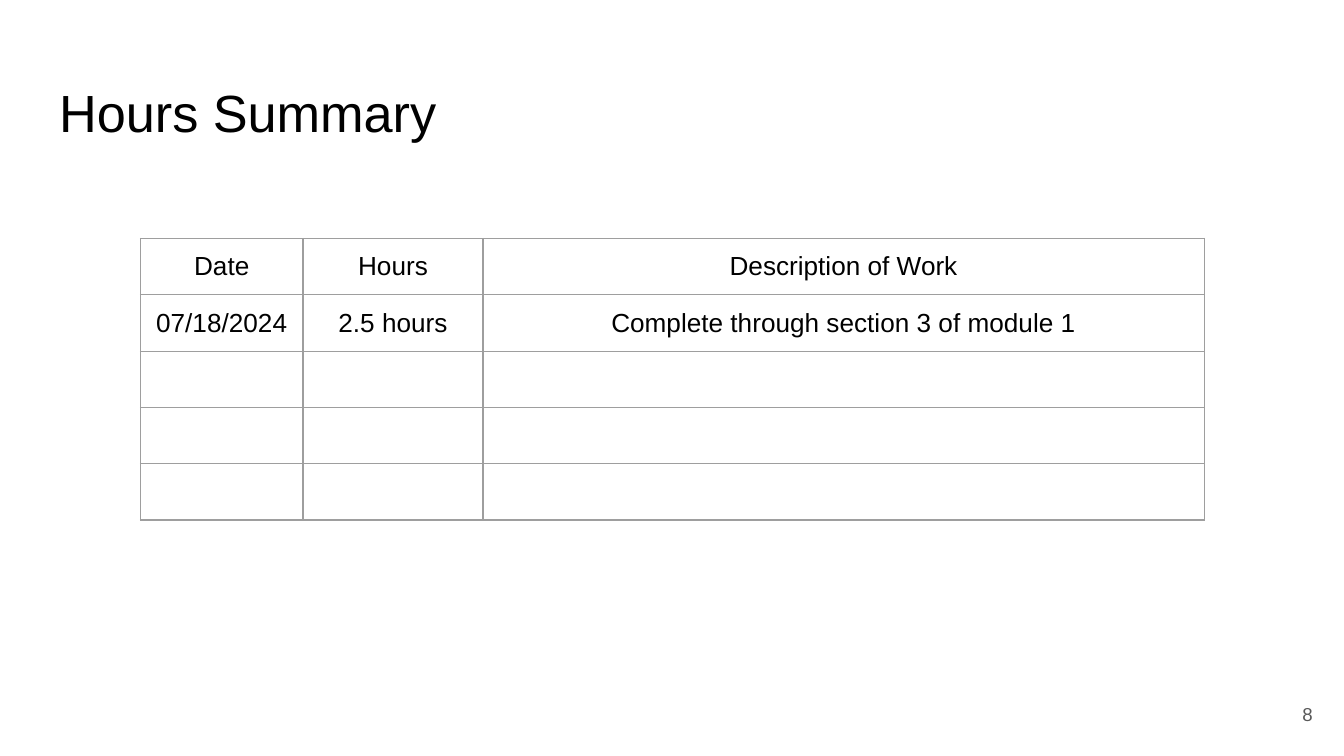
"""Build the Hours Summary slide with its work log table."""
import pptx
import pptx.dml.color
import pptx.enum.text
import pptx.oxml
import pptx.oxml.ns
import pptx.util
import lxml.etree

PX = 4572
COLORS = {"text": "000000", "border": "9E9E9E", "number": "595959"}
COLUMN_WIDTHS = [242, 268, 1073]
ROW_HEIGHT = 83
MARGIN = 20
ROWS = [
    ["Date", "Hours", "Description of Work"],
    ["07/18/2024", "2.5 hours", "Complete through section 3 of module 1"],
    ["", "", ""],
    ["", "", ""],
    ["", "", ""],
]


def write(text_frame, text, size, color, alignment):
    text_frame.text = text
    paragraph = text_frame.paragraphs[0]
    paragraph.alignment = alignment
    for run in paragraph.runs:
        run.font.name = "Arial"
        run.font.size = pptx.util.Pt(size)
        run.font.color.rgb = pptx.dml.color.RGBColor.from_string(COLORS[color])
    if not text:
        end = lxml.etree.SubElement(paragraph._p, pptx.oxml.ns.qn("a:endParaRPr"))
        end.set("sz", str(size * 100))
        lxml.etree.SubElement(end, pptx.oxml.ns.qn("a:latin")).set("typeface", "Arial")


def set_margins(target):
    target.margin_left = target.margin_right = MARGIN * PX
    target.margin_top = target.margin_bottom = MARGIN * PX


align = pptx.enum.text.PP_ALIGN
anchor = pptx.enum.text.MSO_ANCHOR

presentation = pptx.Presentation()
presentation.slide_width = 2000 * PX
presentation.slide_height = 1125 * PX
slide = presentation.slides.add_slide(presentation.slide_layouts[5])

title = slide.shapes.title
title.left, title.top, title.width, title.height = 68 * PX, 100 * PX, 1864 * PX, 125 * PX
write(title.text_frame, "Hours Summary", 28, "text", align.LEFT)
title.text_frame.vertical_anchor = anchor.TOP
title.text_frame.auto_size = pptx.enum.text.MSO_AUTO_SIZE.NONE
set_margins(title.text_frame)

table = slide.shapes.add_table(
    len(ROWS), len(COLUMN_WIDTHS), 209 * PX, 355 * PX,
    sum(COLUMN_WIDTHS) * PX, len(ROWS) * ROW_HEIGHT * PX,
).table
table.first_row = False
table.horz_banding = False
for column, width in zip(table.columns, COLUMN_WIDTHS):
    column.width = width * PX

for row, texts in zip(table.rows, ROWS):
    row.height = ROW_HEIGHT * PX
    for cell, text in zip(row.cells, texts):
        write(cell.text_frame, text, 14, "text", align.CENTER)
        set_margins(cell)
        properties = cell._tc.get_or_add_tcPr()
        for edge in ("lnL", "lnR", "lnT", "lnB"):
            properties.append(pptx.oxml.parse_xml(
                f'<a:{edge} {pptx.oxml.ns.nsdecls("a")} w="{pptx.util.Pt(0.75)}">'
                f'<a:solidFill><a:srgbClr val="{COLORS["border"]}"/></a:solidFill>'
                f'</a:{edge}>'
            ))
        cell.fill.background()

number = slide.shapes.add_textbox(1853 * PX, 1020 * PX, 120 * PX, 86 * PX)
number.text_frame.word_wrap = True
number.text_frame.vertical_anchor = anchor.MIDDLE
set_margins(number.text_frame)
write(number.text_frame, "8", 10, "number", align.RIGHT)

presentation.save("out.pptx")
